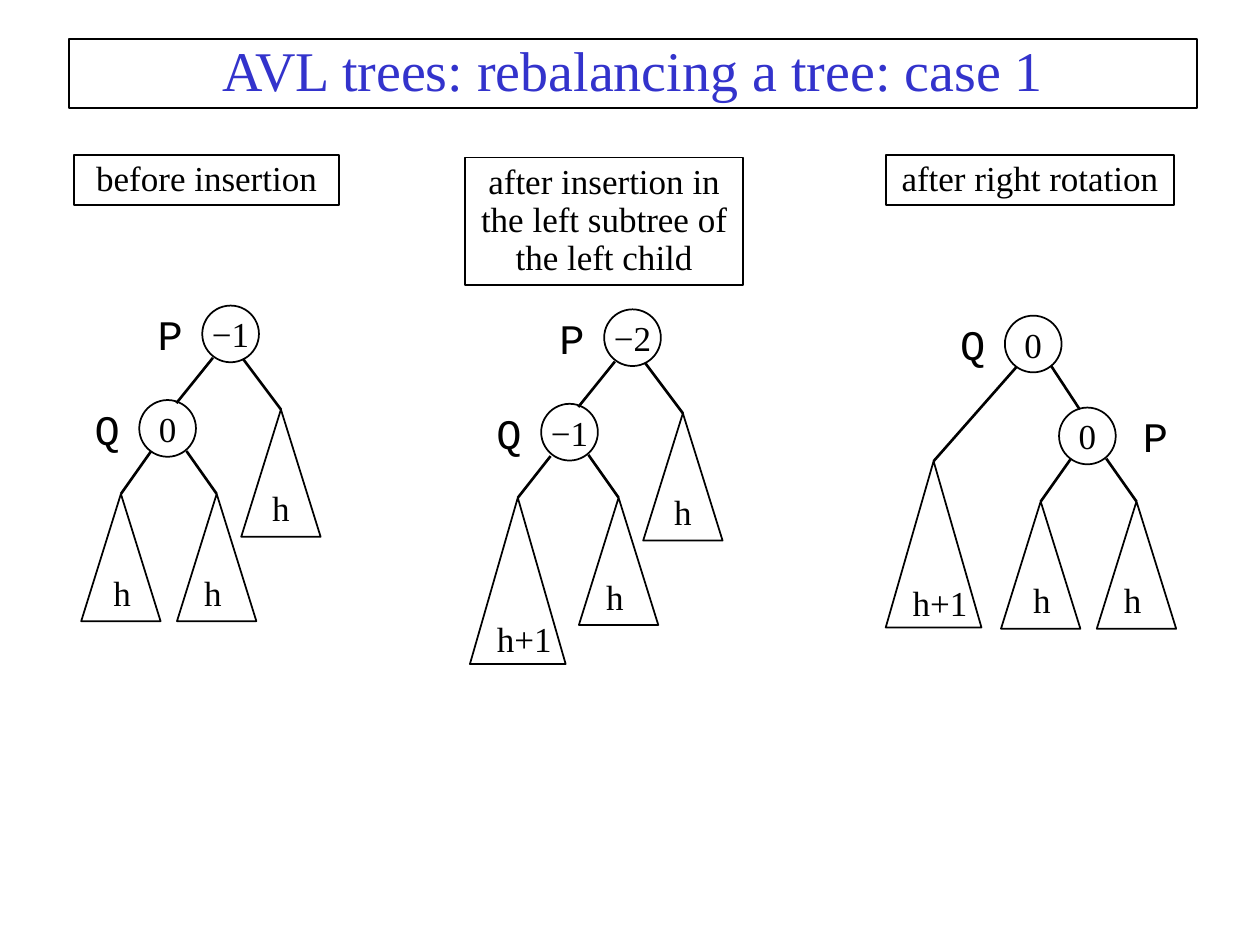
"""Build a slide on rebalancing an AVL tree with a right rotation."""
import pptx
import pptx.util
import pptx.dml.color
import pptx.enum.shapes
import pptx.enum.text
import pptx.oxml.ns
import lxml.etree

SHAPES = pptx.enum.shapes.MSO_SHAPE
SERIF, MONO = "Times New Roman", "Courier New"
BLACK, BLUE = "000000", "3333CC"
DIAMETER = 0.45
LABEL_SIZE = (0.68, 0.45)
SUBTREES = {
    "h": {"size": (0.63, 1.01), "label": (0, 0.78)},
    "h+1": {"size": (0.76, 1.32), "label": (0.05, 1.12)},
}

TITLE = ("AVL trees: rebalancing a tree: case 1", (0.55, 0.31, 8.95, 0.55))

# Node: name, balance, centre, name offset. Subtree: parent, edge start, apex, kind, label shift.
TREES = [
    {
        "caption": ("before insertion", (0.59, 1.23, 2.1, 0.4)),
        "origin": (1.33, 3.4),
        "nodes": [("P", "−1", (0.5, -0.75), -0.48), ("Q", "0", (0, 0), -0.48)],
        "link": ((0.36, -0.56), (0.07, -0.2)),
        "subtrees": [
            ("Q", (-0.13, 0.18), (-0.37, 0.52), "h", 0.01),
            ("Q", (0.15, 0.18), (0.39, 0.52), "h", -0.03),
            ("P", (0.1, 0.2), (0.9, -0.15), "h", 0),
        ],
    },
    {
        "caption": ("after insertion in the left subtree of the left child",
                    (3.69, 1.25, 2.21, 1.01)),
        "origin": (4.52, 3.43),
        "nodes": [("P", "−2", (0.5, -0.75), -0.48), ("Q", "−1", (0, 0), -0.48)],
        "link": ((0.36, -0.56), (0.07, -0.2)),
        "subtrees": [
            ("Q", (-0.15, 0.19), (-0.41, 0.52), "h+1", 0),
            ("Q", (0.15, 0.18), (0.39, 0.52), "h", -0.03),
            ("P", (0.1, 0.2), (0.9, -0.15), "h", 0),
        ],
    },
    {
        "caption": ("after right rotation", (7.03, 1.23, 2.29, 0.4)),
        "origin": (8.63, 3.46),
        "nodes": [("Q", "0", (-0.43, -0.73), -0.48), ("P", "0", (0, 0), 0.54)],
        "link": ((-0.29, -0.56), (-0.06, -0.21)),
        "subtrees": [
            ("P", (-0.13, 0.18), (-0.37, 0.52), "h", 0.01),
            ("P", (0.15, 0.18), (0.39, 0.52), "h", -0.03),
            ("Q", (-0.13, 0.18), (-1.22, 0.2), "h+1", 0),
        ],
    },
]


def color(value):
    return pptx.dml.color.RGBColor.from_string(value)


def inches(values):
    return [pptx.util.Inches(value) for value in values]


def shift(point, offset):
    return point[0] + offset[0], point[1] + offset[1]


def write(shape, text, size, font=SERIF, ink=BLACK, spacing=None):
    frame = shape.text_frame
    frame.word_wrap = True
    frame.vertical_anchor = pptx.enum.text.MSO_ANCHOR.MIDDLE
    para = frame.paragraphs[0]
    para.text = text
    para.alignment = pptx.enum.text.PP_ALIGN.CENTER
    para.line_spacing = spacing
    para.font.size = pptx.util.Pt(size)
    para.font.name = font
    para.font.color.rgb = color(ink)


def add_outline(page, kind, area):
    shape = page.shapes.add_shape(kind, *inches(area))
    shape.shadow.inherit = False
    shape.fill.background()
    shape.line.color.rgb = color(BLACK)
    shape.line.width = pptx.util.Pt(1)
    return shape


def add_label(page, text, centre, size=20, font=SERIF):
    width, height = LABEL_SIZE
    area = (centre[0] - width / 2, centre[1] - height / 2, width, height)
    write(page.shapes.add_textbox(*inches(area)), text, size, font)


def add_edge(page, start, end):
    edge = page.shapes.add_connector(
        pptx.enum.shapes.MSO_CONNECTOR.STRAIGHT, *inches((*start, *end)))
    edge.line.color.rgb = color(BLACK)
    edge.line.width = pptx.util.Pt(1.5)
    lxml.etree.SubElement(edge._element.spPr, pptx.oxml.ns.qn("a:effectLst"))


def add_node(page, name, balance, centre, name_offset):
    corner = shift(centre, (-DIAMETER / 2, -DIAMETER / 2))
    add_outline(page, SHAPES.OVAL, (*corner, DIAMETER, DIAMETER))
    add_label(page, balance, centre)
    add_label(page, name, shift(centre, (name_offset, 0)), 24, MONO)


def add_subtree(page, apex, kind, label_shift):
    width, height = SUBTREES[kind]["size"]
    add_outline(page, SHAPES.ISOSCELES_TRIANGLE,
                (apex[0] - width / 2, apex[1], width, height))
    centre = shift(apex, SUBTREES[kind]["label"])
    add_label(page, kind, shift(centre, (label_shift, 0)))


def add_tree(page, tree):
    origin = tree["origin"]
    centres = {}
    for name, balance, offset, name_offset in tree["nodes"]:
        centres[name] = shift(origin, offset)
        add_node(page, name, balance, centres[name], name_offset)
    add_edge(page, *(shift(origin, point) for point in tree["link"]))
    for parent, start, offset, kind, label_shift in tree["subtrees"]:
        apex = shift(origin, offset)
        add_edge(page, shift(centres[parent], start), apex)
        add_subtree(page, apex, kind, label_shift)
    text, area = tree["caption"]
    write(add_outline(page, SHAPES.RECTANGLE, area), text, 20, spacing=0.9)


def main():
    deck = pptx.Presentation()
    deck.slide_width, deck.slide_height = inches((10, 7.5))
    page = deck.slides.add_slide(deck.slide_layouts[6])
    text, area = TITLE
    write(add_outline(page, SHAPES.RECTANGLE, area), text, 32, ink=BLUE, spacing=0.9)
    for tree in TREES:
        add_tree(page, tree)
    deck.save("out.pptx")


if __name__ == "__main__":
    main()
